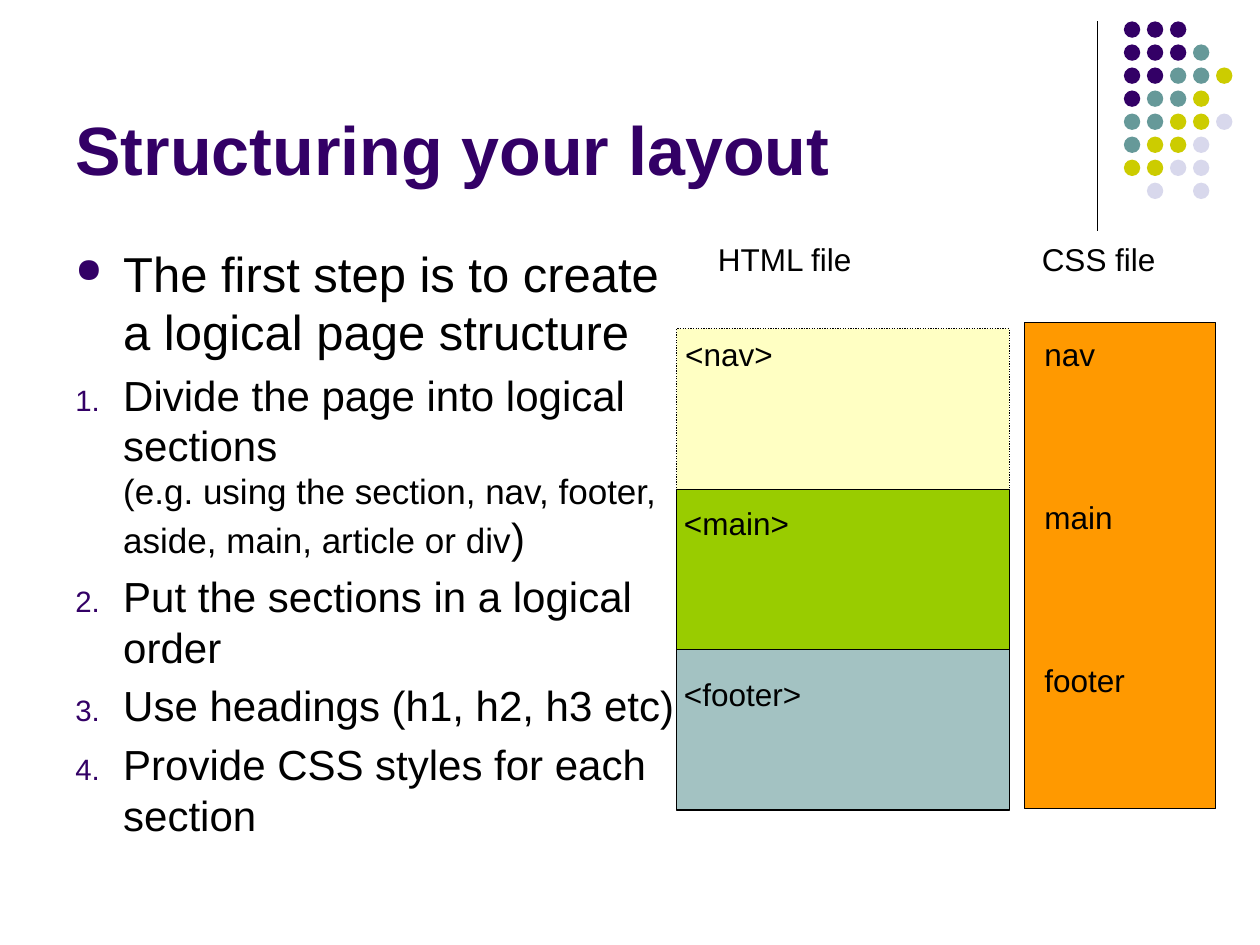
from lxml import etree
from pptx import Presentation
from pptx.dml.color import RGBColor
from pptx.enum.dml import MSO_LINE
from pptx.enum.shapes import MSO_CONNECTOR, MSO_SHAPE
from pptx.enum.text import MSO_ANCHOR
from pptx.oxml.ns import qn
from pptx.util import Inches, Pt

PURPLE, TEAL, LIME, LAVENDER, BLACK = "330066", "669999", "CCCC00", "D8D8EC", "000000"
DOT_COLORS = {"P": PURPLE, "T": TEAL, "L": LIME, "V": LAVENDER}
DOT_ROWS = ["PPP", "PPPT", "PPTTL", "PTTL", "TTLLV", "TLLV", "LLVV", " V V"]
STEPS = [
    [("The first step is to create a logical page structure", 28)],
    [("Divide the page into logical sections ", 24), None,
     ("(e.g. using the section, nav, footer, aside, main, article or div", 20), (")", 24)],
    [("Put the sections in a logical order", 24)],
    [("Use headings (h1, h2, h3 etc)", 24)],
    [("Provide CSS styles for each section", 24)],
]
SECTIONS = [
    ("<nav>", "FFFF99", 0.0, -0.03),
    ("<main>", "99CC00", 0.07, -0.04),
    ("<footer>", "A3C2C2", 0.15, -0.04),
]


def rgb(color):
    """Turn a hex string into a colour."""
    return RGBColor.from_string(color)


def add_run(paragraph, text, size, color=BLACK, bold=False):
    """Append one run of Arial text."""
    run = paragraph.add_run()
    run.text = text
    run.font.name = "Arial"
    run.font.size = Pt(size)
    run.font.bold = bold
    run.font.color.rgb = rgb(color)


def add_frame(shapes, left, top, width, height):
    """Add a wrapping text box and return its text frame."""
    frame = shapes.add_textbox(Inches(left), Inches(top), Inches(width), Inches(height)).text_frame
    frame.word_wrap = True
    return frame


def add_label(shapes, left, top, width, text):
    """Add a one-line 18 point label."""
    add_run(add_frame(shapes, left, top, width, 0.4).paragraphs[0], text, 18)


def add_block(shapes, kind, left, top, width, height, fill, outlined=True):
    """Add a filled shape, with a thin black outline if asked."""
    block = shapes.add_shape(kind, Inches(left), Inches(top), Inches(width), Inches(height))
    block.shadow.inherit = False
    block.fill.solid()
    block.fill.fore_color.rgb = rgb(fill)
    if outlined:
        block.line.color.rgb = rgb(BLACK)
        block.line.width = Pt(0.75)
    else:
        block.line.fill.background()
    return block


def add_corner(slide, left, top, height):
    """Draw the vertical rule and the dot pattern beside it."""
    rule = slide.shapes.add_connector(
        MSO_CONNECTOR.STRAIGHT, Inches(left), Inches(top), Inches(left), Inches(top + height))
    rule.line.color.rgb = rgb(BLACK)
    rule.line.width = Pt(0.75)
    etree.SubElement(rule._element.spPr, qn("a:effectLst"))
    dots = slide.shapes.add_group_shape().shapes
    pitch = 1.28 / 7
    for row, codes in enumerate(DOT_ROWS):
        for column, code in enumerate(codes):
            if code in DOT_COLORS:
                add_block(dots, MSO_SHAPE.OVAL, left + 0.21 + column * pitch, top + row * pitch,
                          0.13, 0.13, DOT_COLORS[code], outlined=False)


def add_title(slide, left, top, width, height):
    """Write the heading at the bottom of its box."""
    frame = add_frame(slide.shapes, left, top, width, height)
    frame.vertical_anchor = MSO_ANCHOR.BOTTOM
    add_run(frame.paragraphs[0], "Structuring your layout", 39, PURPLE, True)


def add_bullet(paragraph, numbered):
    """Give a paragraph a hanging purple bullet or number."""
    properties = paragraph._p.get_or_add_pPr()
    properties.set("marL", str(Inches(0.38)))
    properties.set("indent", str(-Inches(0.38)))
    color = etree.SubElement(properties, qn("a:buClr"))
    etree.SubElement(color, qn("a:srgbClr"), val=PURPLE)
    etree.SubElement(properties, qn("a:buSzPct"), val="70000")
    if numbered:
        etree.SubElement(properties, qn("a:buFont"), typeface="Arial")
        etree.SubElement(properties, qn("a:buAutoNum"), type="arabicPeriod")
    else:
        etree.SubElement(properties, qn("a:buChar"), char="●")


def add_steps(slide, left, top, width, height):
    """Write the opening bullet and the numbered steps."""
    frame = add_frame(slide.shapes, left, top, width, height)
    for index, parts in enumerate(STEPS):
        paragraph = frame.add_paragraph() if index else frame.paragraphs[0]
        paragraph.space_before = Pt(0.2 * parts[0][1])
        add_bullet(paragraph, numbered=index > 0)
        for part in parts:
            if part:
                add_run(paragraph, *part)
            else:
                paragraph.add_line_break()


def add_html_file(slide, left, top, width, height):
    """Stack the three page sections under their heading."""
    shapes = slide.shapes.add_group_shape().shapes
    add_label(shapes, left + 0.23, top - 0.75, 2.47, "HTML file")
    step = height / len(SECTIONS)
    for index, (tag, fill, drop, shift) in enumerate(SECTIONS):
        section_top = top + index * step
        section = add_block(shapes, MSO_SHAPE.RECTANGLE, left, section_top, width, step, fill)
        if index == 0:
            section.line.dash_style = MSO_LINE.ROUND_DOT
            tint = section._element.spPr.find(qn("a:solidFill"))[0]
            etree.SubElement(tint, qn("a:alpha"), val="59000")
        add_label(shapes, left + shift, section_top + drop, 2.47, tag)


def add_css_file(slide, left, top, width, height):
    """Draw the style sheet with its evenly spaced selectors."""
    shapes = slide.shapes.add_group_shape().shapes
    add_block(shapes, MSO_SHAPE.RECTANGLE, left, top, width, height, "FF9900")
    add_label(shapes, left + 0.04, top - 0.7, 1.27, "CSS file")
    frame = add_frame(shapes, left + 0.06, top + 0.05, 1.45, 3.13)
    for index, selector in enumerate(["nav", "main", "footer"]):
        paragraph = frame.add_paragraph() if index else frame.paragraphs[0]
        if index:
            paragraph.space_before = Pt(71.5)
        add_run(paragraph, selector, 18)


def main():
    """Build and save the slide."""
    deck = Presentation()
    deck.slide_width, deck.slide_height = Inches(10), Inches(7.5)
    slide = deck.slides.add_slide(deck.slide_layouts[6])
    add_corner(slide, 8.71, 0.17, 1.66)
    add_title(slide, 0.5, 0.13, 8.25, 1.42)
    add_steps(slide, 0.5, 1.88, 4.97, 4.82)
    add_html_file(slide, 5.37, 2.61, 2.64, 3.82)
    add_css_file(slide, 8.13, 2.56, 1.52, 3.86)
    deck.save("out.pptx")


if __name__ == "__main__":
    main()
